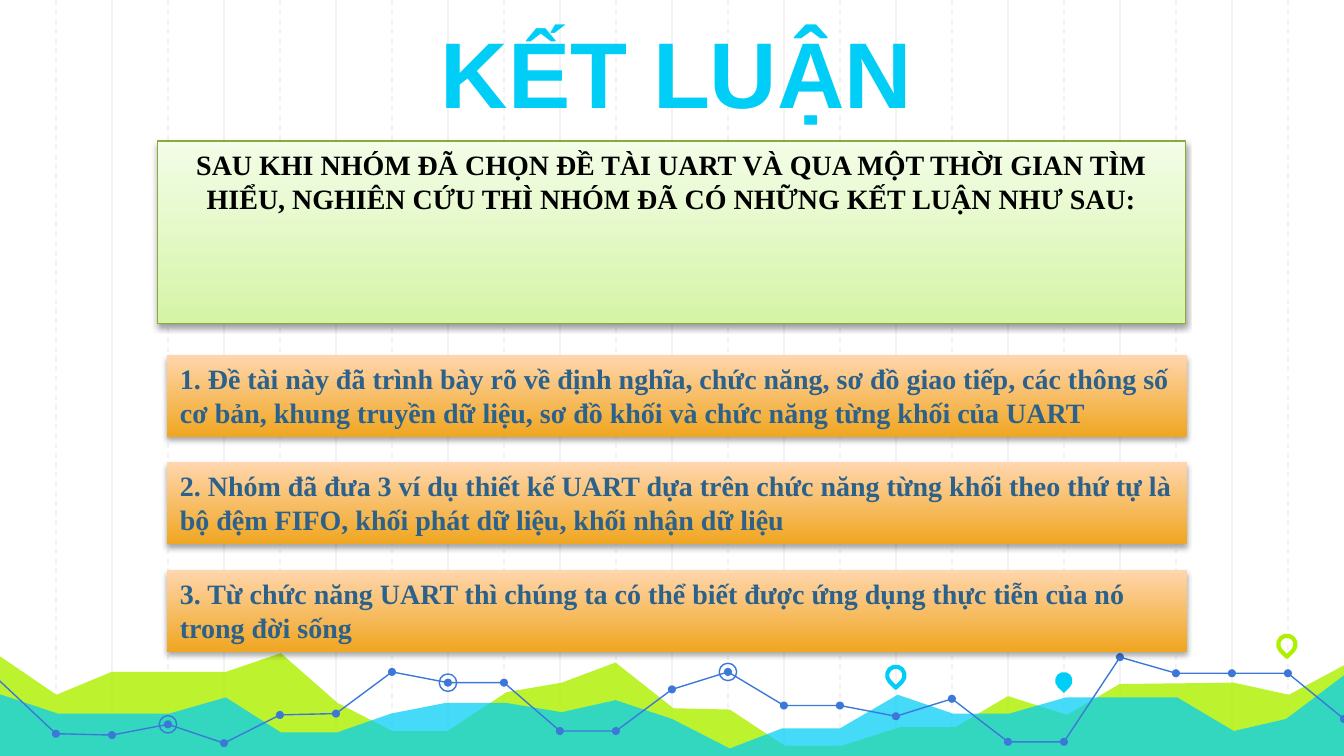
from lxml import etree
from pptx import Presentation
from pptx.dml.color import RGBColor
from pptx.enum import dml, shapes, text
from pptx.oxml.ns import qn
from pptx.util import Inches, Pt

COLORS = {
    "grid": "F3F3F3", "lime": "AFF000", "cyan": "00CEF6", "trend": "3C78D8",
    "green_dark": "D5F4A6", "green_light": "F3FDE7", "green_edge": "89AA3E",
    "orange_dark": "F0A621", "orange_light": "FFD6AD",
    "intro": "000000", "point": "2B618B", "shadow": "000000",
}
TITLE = "KẾT LUẬN"
INTRO = ("SAU KHI NHÓM ĐÃ CHỌN ĐỀ TÀI UART VÀ QUA MỘT THỜI GIAN TÌM HIỂU, "
         "NGHIÊN CỨU THÌ NHÓM ĐÃ CÓ NHỮNG KẾT LUẬN NHƯ SAU:")
POINTS = [
    "1. Đề tài này đã trình bày rõ về định nghĩa, chức năng, sơ đồ giao tiếp, các thông số "
    "cơ bản, khung truyền dữ liệu, sơ đồ khối và chức năng từng khối của UART",
    "2. Nhóm đã đưa 3 ví dụ thiết kế UART dựa trên chức năng từng khối theo thứ tự là "
    "bộ đệm FIFO, khối phát dữ liệu, khối nhận dữ liệu",
    "3. Từ chức năng UART thì chúng ta có thể biết được ứng dụng thực tiễn của nó "
    "trong đời sống",
]

# Background: ridges as (x, y), the trend as one height per grid step
GRID_STEP = 10 / 24
RIDGES = [
    ("lime", 82, [
        (-0.02, 4.87), (0.42, 5.17), (0.83, 5), (1.68, 5), (2.09, 4.86), (2.51, 5.23),
        (2.92, 5.44), (3.33, 5.44), (3.77, 5.15), (4.18, 5.08), (4.58, 4.93), (5.01, 5.27),
        (5.43, 5.28), (5.84, 5.55), (6.26, 5.55), (6.7, 5.41), (7.11, 5.41), (7.5, 5.18),
        (7.94, 5.32), (8.33, 5.09), (9.18, 5.08), (9.59, 5.17), (10.02, 4.94),
        (10.02, 5.64), (-0.03, 5.64)]),
    ("cyan", 73, [
        (-0.02, 5.16), (0.43, 5.31), (1.26, 5.31), (1.68, 5.19), (2.09, 5.45), (2.51, 5.45),
        (2.91, 5.31), (3.32, 5.23), (3.76, 5.23), (4.18, 5.3), (4.58, 5.21), (5, 5.35),
        (5.43, 5.57), (5.82, 5.42), (6.25, 5.42), (6.68, 5.17), (7.09, 5.31), (7.51, 5.31),
        (7.93, 5.19), (8.76, 5.19), (9.18, 5.44), (9.57, 5.35), (10.02, 5.01),
        (10.02, 5.65), (-0.03, 5.65)]),
]
TREND_START = (-0.01, 5.06)
TREND = [5.46, 5.47, 5.39, 5.53, 5.32, 5.31, 5, 5.08, 5.08, 5.44, 5.44, 5.13,
         5, 5.25, 5.25, 5.33, 5.2, 5.52, 5.52, 4.89, 5.01, 5.01, 5.01, 5.35]
TREND_BREAKS = [0, 11, 20, 24]  # the trend is drawn in three stretches
RINGED = [3, 8, 13]  # grid steps with a ring round the dot
PINS = [(6.6, 4.96, "cyan", False), (7.85, 5, "cyan", True), (9.51, 4.73, "lime", False)]
DOT, RING, PIN = 0.06, 0.13, 0.13


def rgb(name):
    return RGBColor.from_string(COLORS[name])


def paint(shape, fill=None, line=None, width=0.75):
    shape.shadow.inherit = False
    if fill:
        shape.fill.solid()
        shape.fill.fore_color.rgb = rgb(fill)
    else:
        shape.fill.background()
    if line:
        shape.line.color.rgb = rgb(line)
        shape.line.width = Pt(width)
    else:
        shape.line.fill.background()


def add_preset(kind, left, top, width, height):
    return slide.shapes.add_shape(kind, *map(Inches, (left, top, width, height)))


def add_circle(center, size, **style):
    x, y = center
    circle = add_preset(shapes.MSO_SHAPE.OVAL, x - size / 2, y - size / 2, size, size)
    paint(circle, **style)


def add_outline(points, close):
    start, *rest = [(Inches(x), Inches(y)) for x, y in points]
    builder = slide.shapes.build_freeform(*start)
    builder.add_line_segments(rest, close=close)
    return builder.convert_to_shape()


def set_alpha(color_element, percent):
    etree.SubElement(color_element, qn("a:alpha"), val=str(percent * 1000))


def write(frame, words, size, font, color, align):
    frame.word_wrap = True
    paragraph = frame.paragraphs[0]
    paragraph.alignment = align
    run = paragraph.add_run()
    run.text = words
    run.font.size, run.font.name, run.font.bold = Pt(size), font, True
    run.font.color.rgb = rgb(color)


def add_panel(box, words, shades, color, align, shadow, edge=None):
    """Rectangle with a vertical gradient (bottom shade, top shade) and a soft shadow."""
    panel = add_preset(shapes.MSO_SHAPE.RECTANGLE, *box)
    paint(panel, line=edge)
    panel.fill.gradient()
    panel.fill.gradient_angle = 90
    for stop, shade in zip(panel.fill.gradient_stops, shades):
        stop.color.rgb = rgb(shade)
    alpha, distance = shadow
    outer = etree.SubElement(
        panel._element.spPr.find(qn("a:effectLst")), qn("a:outerShdw"),
        blurRad=str(Pt(3.1)), dist=str(Pt(distance)), dir="5400000", rotWithShape="0")
    set_alpha(etree.SubElement(outer, qn("a:srgbClr"), val=COLORS["shadow"]), alpha)
    panel.text_frame.vertical_anchor = text.MSO_ANCHOR.TOP
    write(panel.text_frame, words, 15, "Times New Roman", color, align)


prs = Presentation()
prs.slide_width = Inches(10)
prs.slide_height = prs.slide_width * 9 // 16
slide = prs.slides.add_slide(prs.slide_layouts[6])

for step in range(1, 24):
    x = Inches(step * GRID_STEP)
    grid_line = slide.shapes.add_connector(
        shapes.MSO_CONNECTOR.STRAIGHT, x, 0, x, Inches(5.65))
    grid_line.line.color.rgb = rgb("grid")
    grid_line.line.width = Pt(0.75)
    if step % 2:
        grid_line.line.dash_style = dml.MSO_LINE.DASH
    etree.SubElement(grid_line._element.spPr, qn("a:effectLst"))

for color, opacity, outline in RIDGES:
    ridge = add_outline(outline, close=True)
    paint(ridge, fill=color)
    set_alpha(ridge._element.spPr.find(qn("a:solidFill"))[0], opacity)

for left, top, color, filled in PINS:
    pin = add_preset(shapes.MSO_SHAPE.TEAR, left, top, PIN, PIN)
    pin.rotation = 135
    if filled:
        paint(pin, fill=color)
    else:
        paint(pin, line=color, width=2.25)

dots = [(step * GRID_STEP, y) for step, y in enumerate(TREND, 1)]
trend_points = [TREND_START] + dots
for first, last in zip(TREND_BREAKS, TREND_BREAKS[1:]):
    paint(add_outline(trend_points[first:last + 1], close=False), line="trend")
for point in dots:
    add_circle(point, DOT, fill="trend")
for step in RINGED:
    add_circle(trend_points[step], RING, line="trend")

title = slide.shapes.add_textbox(*map(Inches, (1.21, 0.27, 7.65, 0.78))).text_frame
title.margin_left = title.margin_right = title.margin_top = title.margin_bottom = Inches(0.1)
title.vertical_anchor = text.MSO_ANCHOR.BOTTOM
write(title, TITLE, 50, "Arial", "cyan", text.PP_ALIGN.CENTER)

add_panel((1.17, 1.05, 7.65, 1.36), INTRO, ("green_dark", "green_light"), "intro",
          text.PP_ALIGN.CENTER, (38, 1.6), edge="green_edge")
for row, words in enumerate(POINTS):
    add_panel((1.24, 2.64 + 0.8 * row, 7.59, 0.61), words, ("orange_dark", "orange_light"),
              "point", text.PP_ALIGN.LEFT, (35, 1.8))

prs.save("out.pptx")
